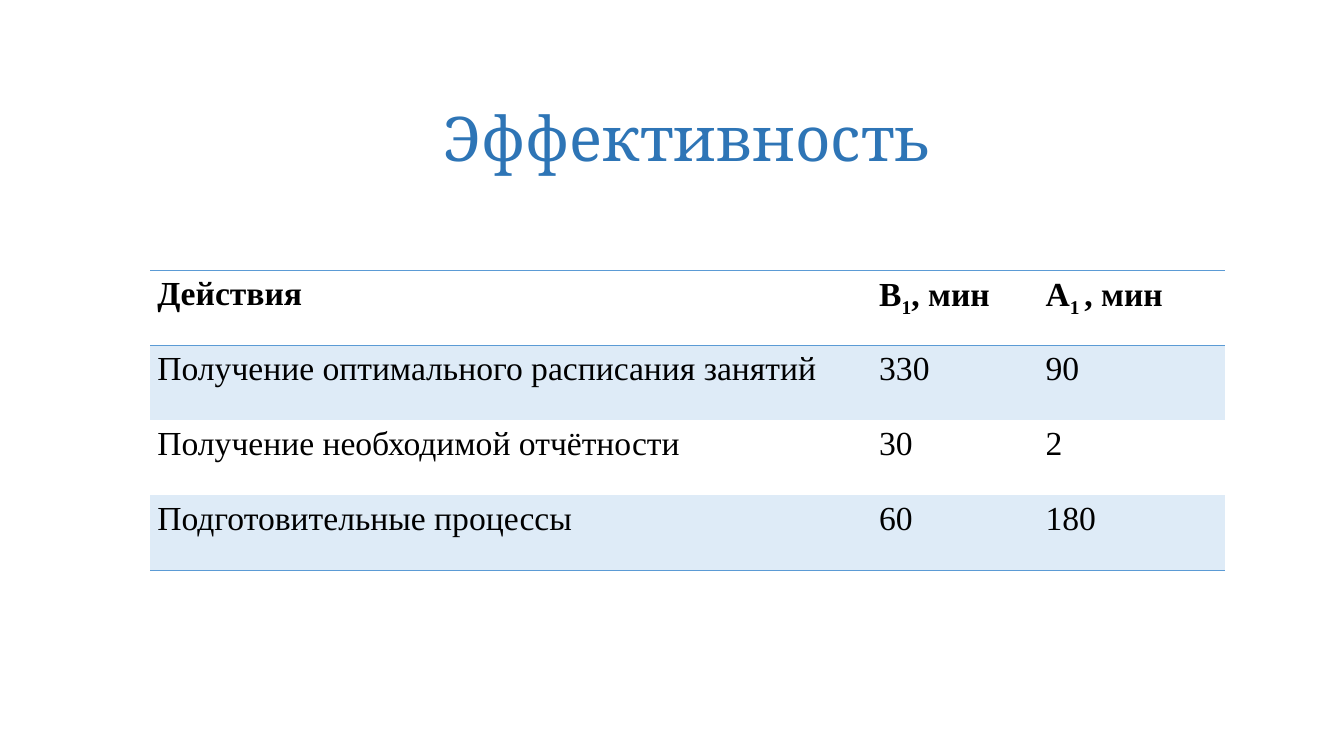
from lxml import etree
from pptx import Presentation
from pptx.dml.color import RGBColor
from pptx.enum import text
from pptx.oxml import ns
from pptx.util import Inches, Pt


def rgb(value):
    return RGBColor.from_string(value)


def add_run(p, words, size, name, color, bold=False):
    r = p.add_run()
    r.text = words
    for key, value in {"size": Pt(size), "name": name, "bold": bold}.items():
        setattr(r.font, key, value)
    r.font.color.rgb = rgb(color)
    return r


BLUE, PALE = "5B9BD5", "DEEBF7"
NO_GRID = "{2D5ABB26-0587-4C30-8999-92F81FD0307C}"

prs = Presentation()
prs.slide_width, prs.slide_height = Inches(13.33), Inches(7.5)
s = prs.slides.add_slide(prs.slide_layouts[6])

title = s.shapes.add_textbox(Inches(1.88), Inches(0.68), Inches(9.88), Inches(1.45))
tf = title.text_frame
tf.word_wrap = True
tf.vertical_anchor = text.MSO_ANCHOR.MIDDLE
p = tf.paragraphs[0]
p.alignment = text.PP_ALIGN.CENTER
p.line_spacing = 0.9
add_run(p, "Эффективность", 44, "Cambria", "2E75B6")

rows = [
    [["Действия"], ["B", "1", ", мин"], ["A", "1 ", ", мин"]],
    [["Получение оптимального расписания занятий"], ["330"], ["90"]],
    [["Получение необходимой отчётности"], ["30"], ["2"]],
    [["Подготовительные процессы"], ["60"], ["180"]],
]
borders = {0: ["lnT", "lnB"], 3: ["lnB"]}
cell_format = {
    "margin_left": Inches(0.07),
    "margin_right": Inches(0.07),
    "margin_top": 0,
    "margin_bottom": 0,
}

frame = s.shapes.add_table(4, 3, Inches(1.49), Inches(2.68), Inches(10.66), Inches(2.98))
table = frame.table
table._tbl.tblPr.find(ns.qn("a:tableStyleId")).text = NO_GRID
for column, width in zip(table.columns, [7.16, 1.65, 1.85]):
    column.width = Inches(width)

for i, row in enumerate(rows):
    for j, parts in enumerate(row):
        cell = table.cell(i, j)
        for key, value in cell_format.items():
            setattr(cell, key, value)
        if i % 2:
            cell.fill.solid()
            cell.fill.fore_color.rgb = rgb(PALE)
        else:
            cell.fill.background()
        p = cell.text_frame.paragraphs[0]
        p.alignment = text.PP_ALIGN.JUSTIFY
        p.line_spacing = 1.15
        for k, words in enumerate(parts):
            r = add_run(p, words, 24, "Times New Roman", "000000", i == 0)
            if k == 1:
                r.font._element.set("baseline", "-25000")
        tcPr = cell._tc.get_or_add_tcPr()
        for n, side in enumerate(borders.get(i, [])):
            ln = etree.Element(ns.qn("a:" + side), w=str(Pt(1)))
            fill = etree.SubElement(ln, ns.qn("a:solidFill"))
            etree.SubElement(fill, ns.qn("a:srgbClr"), val=BLUE)
            tcPr.insert(n, ln)

prs.save("out.pptx")
